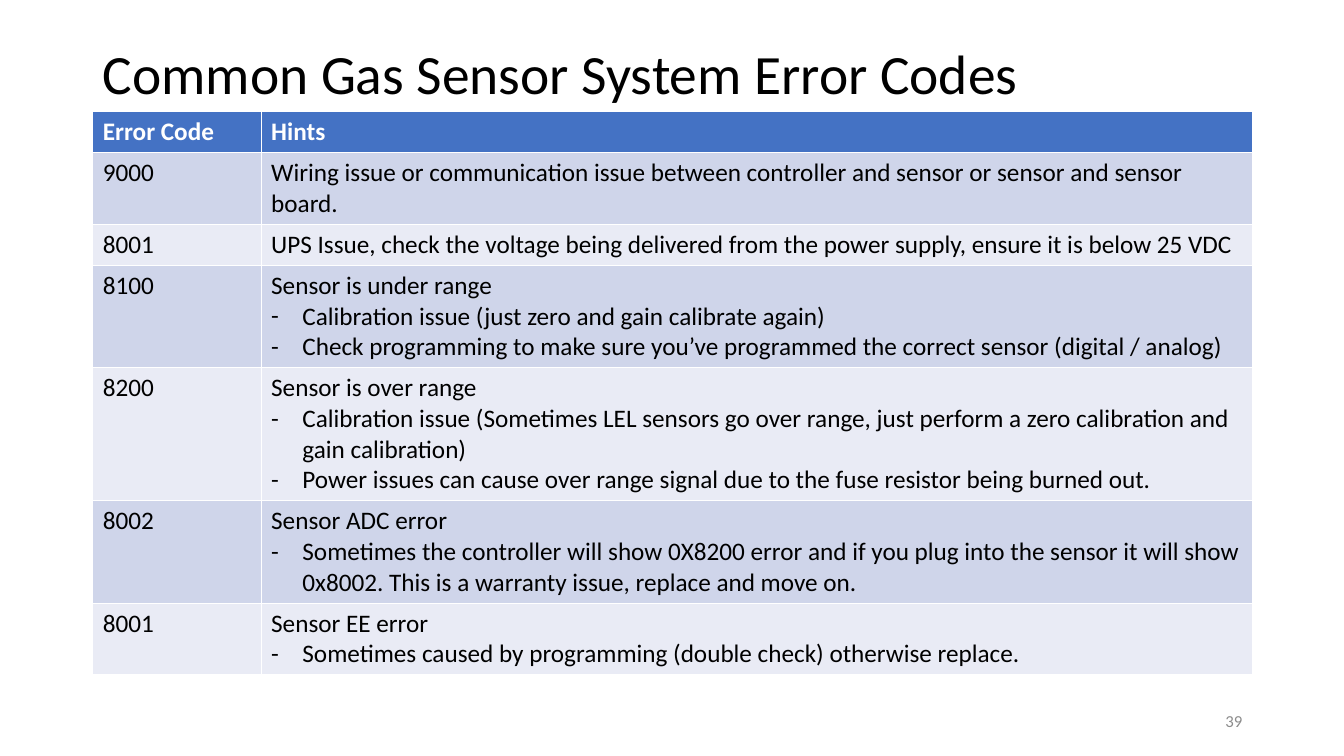
"""Build a slide with a table of sensor error codes and hints."""
from lxml import etree
from pptx import Presentation
from pptx import util as u
from pptx.dml.color import RGBColor
from pptx.enum import text
from pptx.oxml.ns import qn

TITLE = "Common Gas Sensor System Error Codes"
PAGE = "39"
HEADINGS = ("Error Code", "Hints")
ERRORS = [
    ("9000", 2, "Wiring issue or communication issue between controller and sensor or sensor and sensor board.", []),
    ("8001", 1, "UPS Issue, check the voltage being delivered from the power supply, ensure it is below 25 VDC", []),
    ("8100", 3, "Sensor is under range", [
        "Calibration issue (just zero and gain calibrate again)",
        "Check programming to make sure you’ve programmed the correct sensor (digital / analog)"]),
    ("8200", 4, "Sensor is over range", [
        "Calibration issue (Sometimes LEL sensors go over range, just perform a zero calibration and gain calibration)",
        "Power issues can cause over range signal due to the fuse resistor being burned out."]),
    ("8002", 3, "Sensor ADC error", [
        "Sometimes the controller will show 0X8200 error and if you plug into the sensor it will show 0x8002. "
        "This is a warranty issue, replace and move on."]),
    ("8001", 2, "Sensor EE error", [
        "Sometimes caused by programming (double check) otherwise replace."]),
]

COLORS = {"header": "4472C4", "odd": "CFD5EA", "even": "E9EBF5",
          "ink": "000000", "light": "FFFFFF", "page": "8C8C8C"}
FONTS = {
    "title": {"size": u.Pt(39.6), "bold": False},
    "header": {"size": u.Pt(18), "bold": True},
    "body": {"size": u.Pt(18), "bold": False},
    "page": {"size": u.Pt(12), "bold": False},
}
WIDTH, HEIGHT = 13.33, 7.5
MARGIN, TITLE_TOP, TABLE_TOP = 0.92, 0.4, 1.11
CODE_WIDTH, TABLE_WIDTH = 1.67, 11.5
LINE, PADDING, INDENT = 0.305, 0.1, 0.31
PAGE_BOX = (9.42, 6.95, 3, 0.4)


def apply(target, values):
    for name, value in values.items():
        setattr(target, name, value)


def write(paragraph, words, style, color):
    run = paragraph.add_run()
    run.text = words
    apply(run.font, {"name": "Calibri", **FONTS[style]})
    run.font.color.rgb = RGBColor.from_string(COLORS[color])


def dash(paragraph):
    props = paragraph._p.get_or_add_pPr()
    props.set("marL", str(u.Inches(INDENT)))
    props.set("indent", str(-u.Inches(INDENT)))
    etree.SubElement(props, qn("a:buFont")).set("typeface", "Calibri")
    etree.SubElement(props, qn("a:buChar")).set("char", "-")


def fill_cell(cell, lines, style, color, background):
    cell.fill.solid()
    cell.fill.fore_color.rgb = RGBColor.from_string(COLORS[background])
    for index, words in enumerate(lines):
        frame = cell.text_frame
        paragraph = frame.add_paragraph() if index else frame.paragraphs[0]
        if index:
            dash(paragraph)
        write(paragraph, words, style, color)


def add_title(slide):
    title = slide.shapes.title
    apply(title, {"left": u.Inches(MARGIN), "top": u.Inches(TITLE_TOP),
                  "width": u.Inches(TABLE_WIDTH), "height": u.Inches(TABLE_TOP - TITLE_TOP)})
    apply(title.text_frame, {"vertical_anchor": text.MSO_ANCHOR.MIDDLE, "word_wrap": True,
                             "auto_size": text.MSO_AUTO_SIZE.NONE})
    heading = title.text_frame.paragraphs[0]
    apply(heading, {"alignment": text.PP_ALIGN.LEFT, "line_spacing": 0.9})
    write(heading, TITLE, "title", "ink")


def add_errors(slide):
    heights = [PADDING + LINE * count for count in [1] + [error[1] for error in ERRORS]]
    box = (MARGIN, TABLE_TOP, TABLE_WIDTH, sum(heights))
    errors = slide.shapes.add_table(len(heights), len(HEADINGS), *map(u.Inches, box)).table
    for column, width in zip(errors.columns, (CODE_WIDTH, TABLE_WIDTH - CODE_WIDTH)):
        column.width = u.Inches(width)
    for row, height in zip(errors.rows, heights):
        row.height = u.Inches(height)
    for column, heading in enumerate(HEADINGS):
        fill_cell(errors.cell(0, column), [heading], "header", "light", "header")
    for row, (code, _, summary, hints) in enumerate(ERRORS, 1):
        band = "odd" if row % 2 else "even"
        for column, lines in enumerate(([code], [summary, *hints])):
            fill_cell(errors.cell(row, column), lines, "body", "ink", band)


def add_page_number(slide):
    frame = slide.shapes.add_textbox(*map(u.Inches, PAGE_BOX)).text_frame
    apply(frame, {"word_wrap": True, "vertical_anchor": text.MSO_ANCHOR.MIDDLE})
    frame.paragraphs[0].alignment = text.PP_ALIGN.RIGHT
    write(frame.paragraphs[0], PAGE, "page", "page")


def main():
    deck = Presentation()
    apply(deck, {"slide_width": u.Inches(WIDTH), "slide_height": u.Inches(HEIGHT)})
    slide = deck.slides.add_slide(deck.slide_layouts[5])
    add_title(slide)
    add_errors(slide)
    add_page_number(slide)
    deck.save("out.pptx")


if __name__ == "__main__":
    main()
